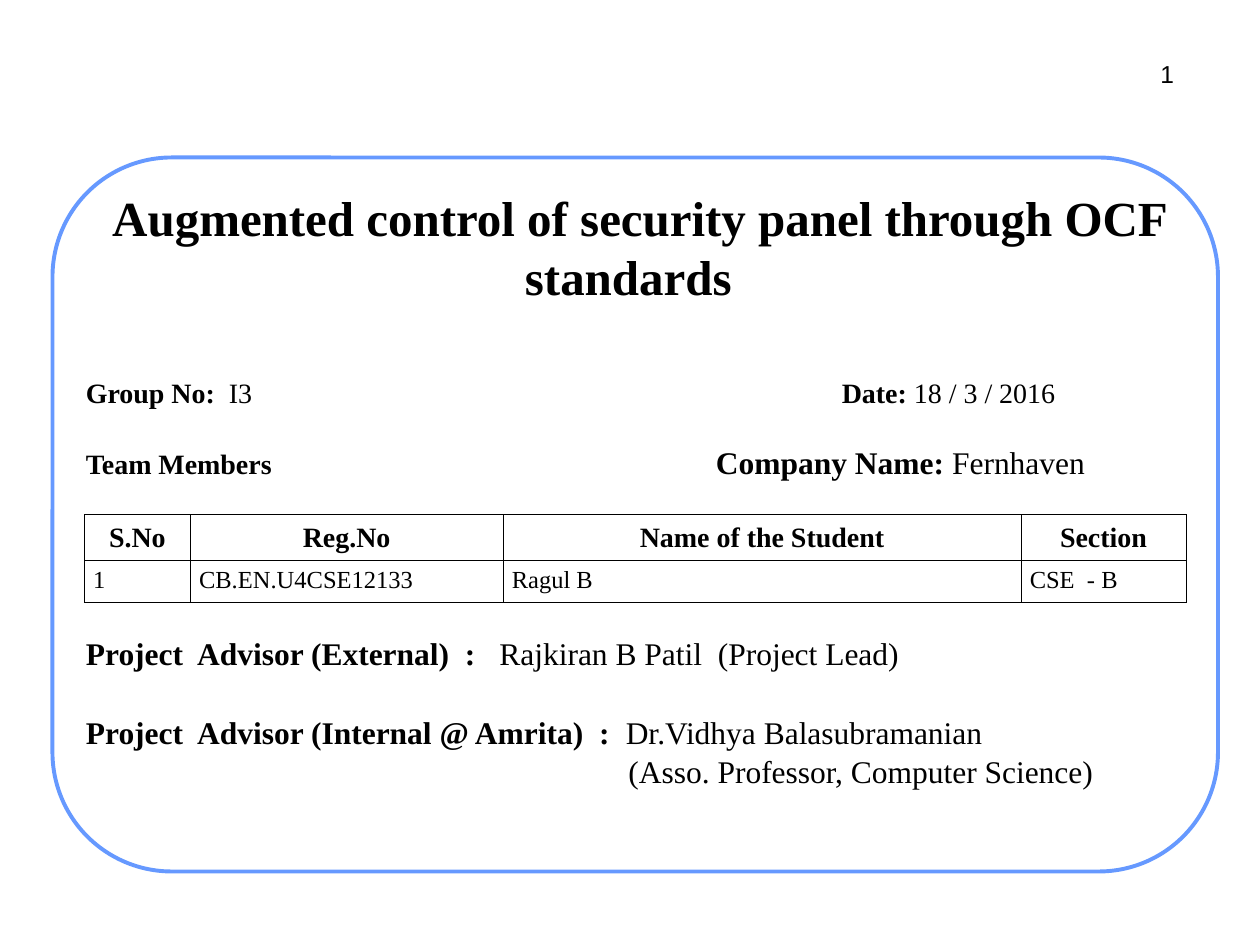
import pptx
import pptx.dml.color
import pptx.enum.shapes
import pptx.enum.text
import pptx.oxml
import pptx.oxml.ns
import pptx.util

Pt = pptx.util.Pt
Align = pptx.enum.text.PP_ALIGN
Anchor = pptx.enum.text.MSO_ANCHOR
NAMESPACE = pptx.oxml.ns.nsdecls("a")

THEME = {
    "ink": pptx.dml.color.RGBColor(0x00, 0x00, 0x00),
    "paper": pptx.dml.color.RGBColor(0xFF, 0xFF, 0xFF),
    "frame": pptx.dml.color.RGBColor(0x66, 0x99, 0xFF),
    "serif": "Times New Roman",
    "sans": "Arial",
    "title": 28,
    "large": 18,
    "medium": 16,
    "small": 14,
}


def style(span, size, bold=False, name=THEME["serif"]):
    span.font.name = name
    span.font.size = Pt(size)
    span.font.bold = bold
    span.font.color.rgb = THEME["ink"]


deck = pptx.Presentation()
deck.slide_width, deck.slide_height = Pt(720), Pt(540)
page = deck.slides.add_slide(deck.slide_layouts[5])

# Rounded frame, placed behind the title
frame = page.shapes.add_shape(
    pptx.enum.shapes.MSO_SHAPE.ROUNDED_RECTANGLE, Pt(30), Pt(90), Pt(666), Pt(408))
frame.adjustments[0] = 0.167
frame.shadow.inherit = False
frame.fill.solid()
frame.fill.fore_color.rgb = THEME["paper"]
frame.line.color.rgb = THEME["frame"]
frame.line.width = Pt(2.25)

# Title
title = page.shapes.title
title.element.addprevious(frame.element)
title.left, title.top, title.width, title.height = Pt(47.5), Pt(117), Pt(630), Pt(48)
title.text_frame.text = " Augmented control of security panel through OCF standards "
title.text_frame.word_wrap = True
title.text_frame.auto_size = pptx.enum.text.MSO_AUTO_SIZE.NONE
title.text_frame.vertical_anchor = Anchor.MIDDLE
title.text_frame.paragraphs[0].alignment = Align.CENTER
style(title.text_frame.paragraphs[0].runs[0], THEME["title"], True)

# Project details: space before, tab stop, left indent, (text, size, bold) spans
medium, large = THEME["medium"], THEME["large"]
details = [
    (0, 432, 0, [("Group No:  ", medium, True), ("I3\t", medium, False),
                 ("Date: ", medium, True), ("18 / 3 / 2016", medium, False)]),
    (23.5, 360, 0, [("Team Members\t", medium, True),
                    ("Company Name: ", large, True), ("Fernhaven", large, False)]),
    (92, None, 0, [("Project  Advisor (External)  :   ", large, True),
                   ("Rajkiran B Patil  (Project Lead)", large, False)]),
    (27.5, None, 0, [("Project  Advisor (Internal @ Amrita)  :  ", large, True),
                     ("Dr.Vidhya Balasubramanian", large, False)]),
    (5, None, 310, [("(Asso. Professor, Computer Science)", large, False)]),
]
box = page.shapes.add_textbox(Pt(42), Pt(215), Pt(648), Pt(241.5))
box.text_frame.word_wrap = True
for index, (space, tab, indent, spans) in enumerate(details):
    para = box.text_frame.paragraphs[0] if index == 0 else box.text_frame.add_paragraph()
    properties = para._p.get_or_add_pPr()
    if indent:
        properties.set("marL", str(Pt(indent)))
    if tab:
        properties.append(pptx.oxml.parse_xml(
            f'<a:tabLst {NAMESPACE}><a:tab pos="{Pt(tab)}" algn="l"/></a:tabLst>'))
    para.line_spacing = 0.8
    para.space_before = Pt(space)
    for text, size, bold in spans:
        span = para.add_run()
        span.text = text
        style(span, size, bold)

# Page number
number = page.shapes.add_textbox(Pt(552), Pt(30), Pt(126), Pt(37.5))
number.text_frame.word_wrap = True
number.text_frame.text = "1"
number.text_frame.paragraphs[0].alignment = Align.RIGHT
style(number.text_frame.paragraphs[0].runs[0], THEME["small"], name=THEME["sans"])

# Student table
rows = [
    ["S.No", "Reg.No", "Name of the Student", "Section"],
    ["1", "CB.EN.U4CSE12133", "Ragul B", "CSE  - B"],
]
widths, heights = [60.5, 178.75, 296, 94.25], [25, 24]
table = page.shapes.add_table(
    len(rows), len(widths), Pt(48.25), Pt(294), Pt(sum(widths)), Pt(sum(heights))).table
table.first_row = table.horz_banding = False
for column, width in zip(table.columns, widths):
    column.width = Pt(width)
for row_index, texts in enumerate(rows):
    header = row_index == 0
    table.rows[row_index].height = Pt(heights[row_index])
    for column_index, text in enumerate(texts):
        cell = table.cell(row_index, column_index)
        cell.text_frame.text = text
        cell.margin_left = cell.margin_right = Pt(5)
        cell.margin_top = cell.margin_bottom = Pt(3.6)
        cell.vertical_anchor = Anchor.MIDDLE if header else Anchor.TOP
        para = cell.text_frame.paragraphs[0]
        para.alignment = Align.CENTER if header else Align.LEFT
        style(para.runs[0], THEME["medium"] if header else THEME["small"], header)
        for side in ("lnL", "lnR", "lnT", "lnB"):
            cell._tc.get_or_add_tcPr().append(pptx.oxml.parse_xml(
                f'<a:{side} {NAMESPACE} w="{Pt(0.45)}"><a:solidFill>'
                f'<a:srgbClr val="{THEME["ink"]}"/></a:solidFill></a:{side}>'))
        cell.fill.background()

deck.save("out.pptx")
